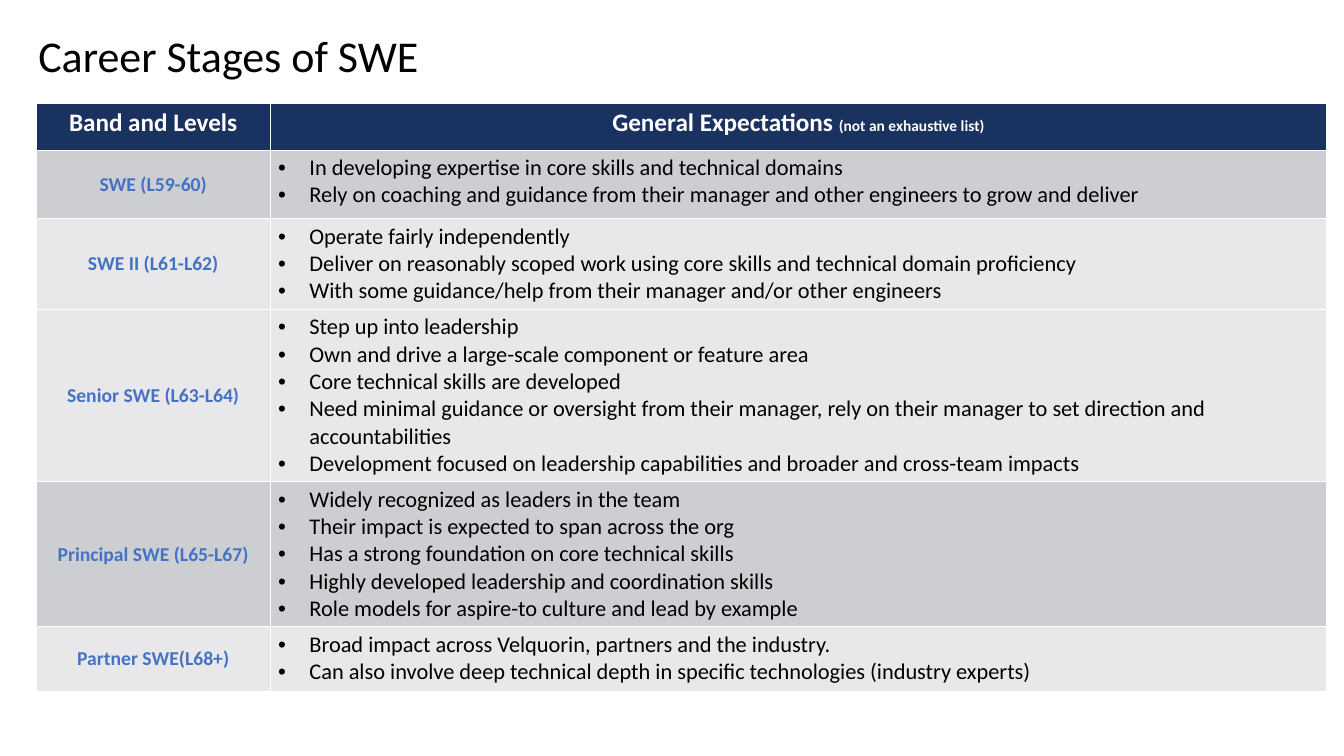
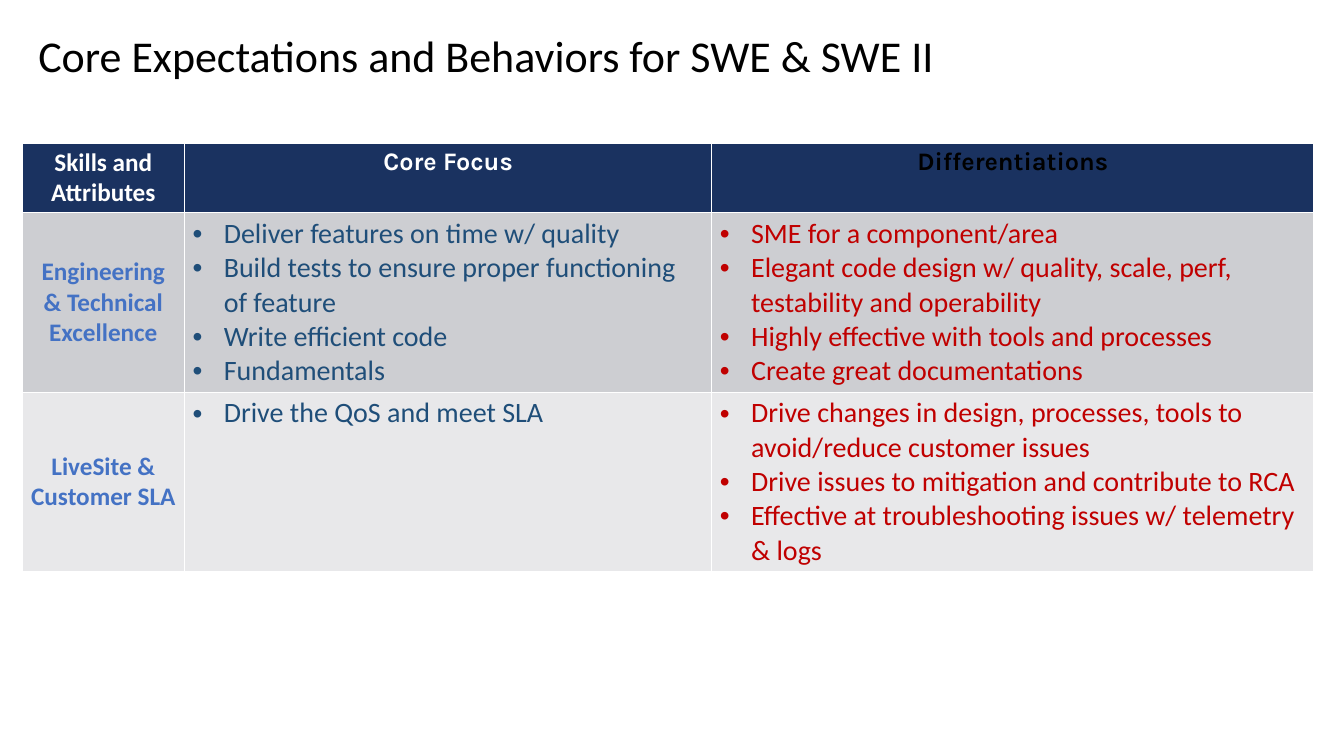
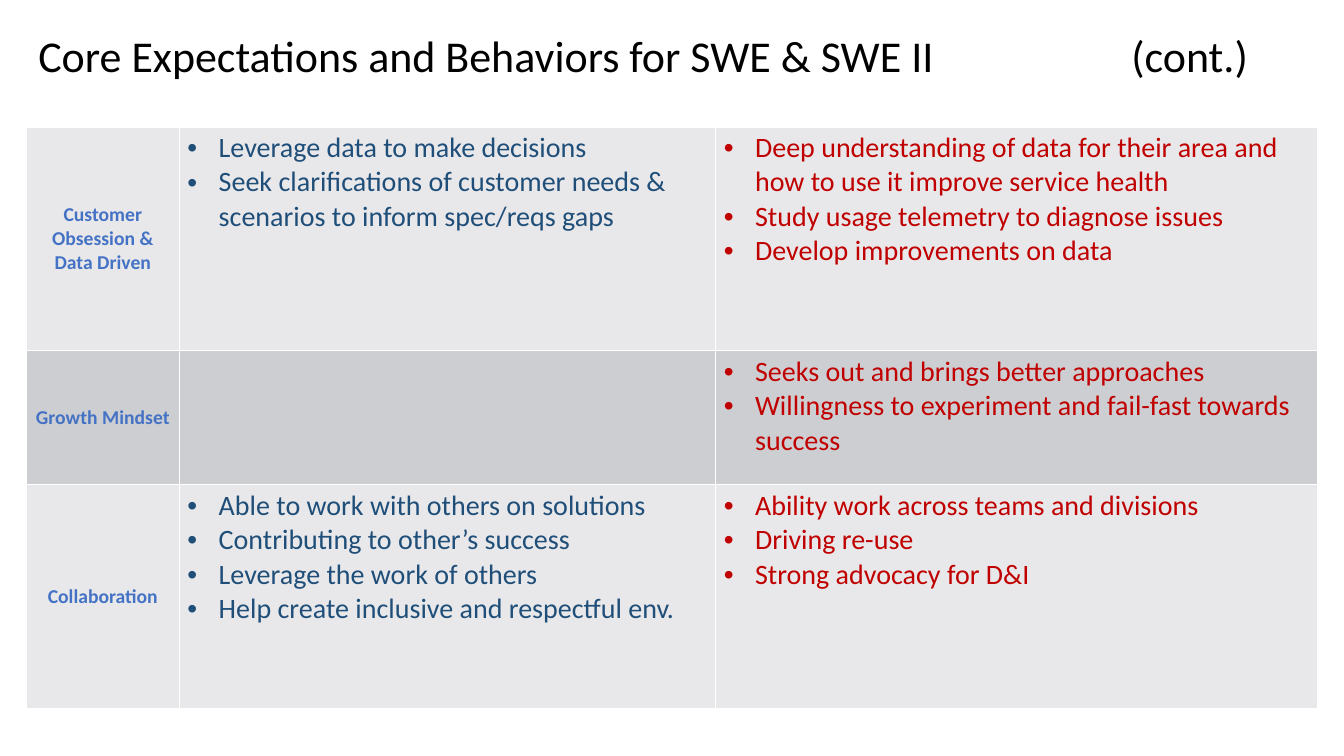
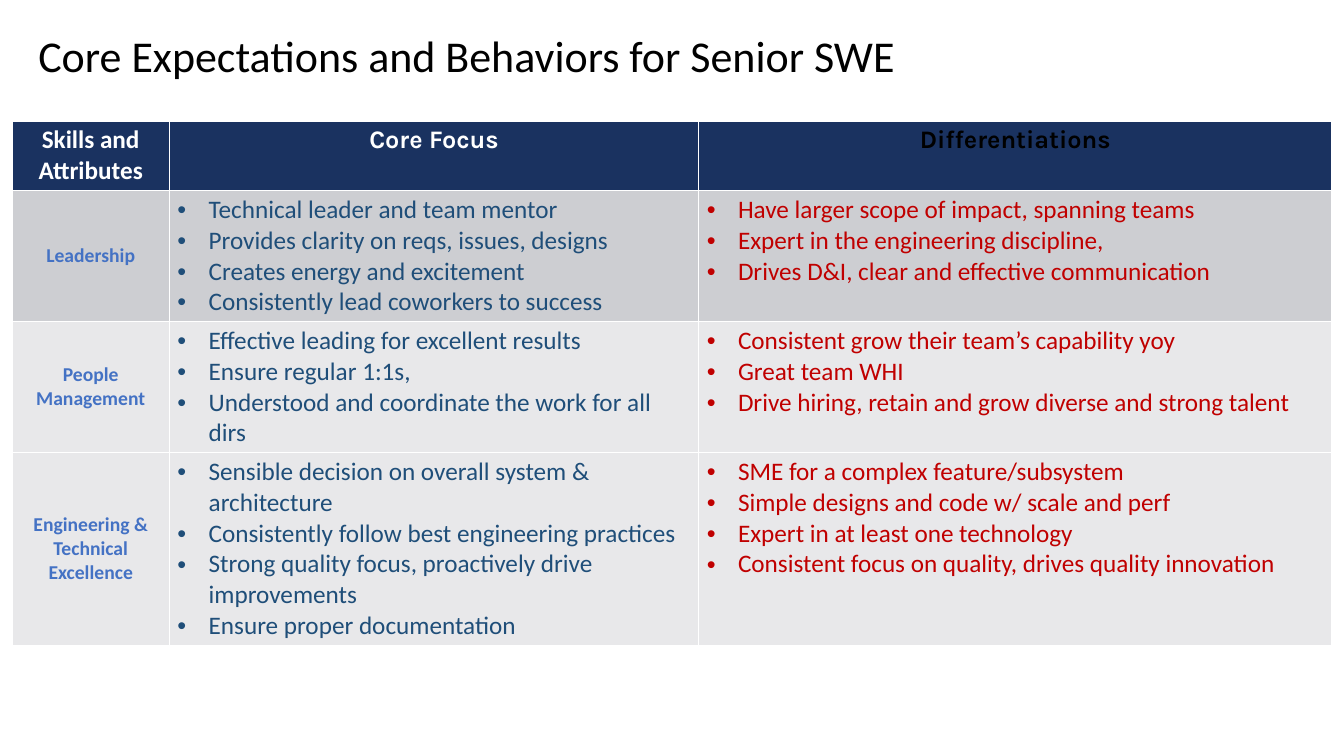
"""Builds four slides of tables on the career stages of software engineers."""
from lxml import etree
from pptx import Presentation
from pptx import util as u
from pptx.dml.color import RGBColor
from pptx.enum import text
from pptx.oxml import ns

HUES = {"navy": "1A3260", "white": "FFFFFF", "black": "000000", "label": "4472C4",
        "core": "1F4E79", "diff": "C00000", "dark": "CDCED2", "light": "E8E8EA"}
FONT, HEAD = "Calibri", "Karla"
SKILLS = [
    [("Skills and Attributes", 18, FONT, "white")],
    [("Core Focus", 18, HEAD, "white")],
    [("Differentiations", 18, HEAD, "black")],
]
SLIDES = [
    {
        "title": "Career Stages of SWE",
        "at": (0.36, 1.03), "cols": [2.32, 10.48], "inks": ["black"], "size": 16,
        "head": [
            [("Band and Levels", 18, FONT, "white")],
            [("General Expectations ", 18, FONT, "white"),
             ("(not an exhaustive list)", 11, FONT, "white")],
        ],
        "top": 0.46,
        "rows": [
            ("dark", 0.68, 14, ["SWE (L59-60)"], [
                "In developing expertise in core skills and technical domains",
                "Rely on coaching and guidance from their manager and other engineers to grow and deliver"]),
            ("light", 0.9, 14, ["SWE II (L61-L62)"], [
                "Operate fairly independently",
                "Deliver on reasonably scoped work using core skills and technical domain proficiency",
                "With some guidance/help from their manager and/or other engineers"]),
            ("light", 1.44, 14, ["Senior SWE (L63-L64)"], [
                "Step up into leadership",
                "Own and drive a large-scale component or feature area",
                "Core technical skills are developed",
                "Need minimal guidance or oversight from their manager, rely on their manager "
                "to set direction and accountabilities",
                "Development focused on leadership capabilities and broader and cross-team impacts"]),
            ("dark", 1.44, 14, ["Principal SWE (L65-L67)"], [
                "Widely recognized as leaders in the team",
                "Their impact is expected to span across the org",
                "Has a strong foundation on core technical skills",
                "Highly developed leadership and coordination skills",
                "Role models for aspire-to culture and lead by example"]),
            ("light", 0.64, 14, ["Partner SWE(L68+)"], [
                "Broad impact across Velquorin, partners and the industry.",
                "Can also involve deep technical depth in specific technologies (industry experts)"]),
        ],
    },
    {
        "title": "Core Expectations and Behaviors for SWE & SWE II",
        "at": (0.22, 1.42), "cols": [1.61, 5.23, 5.97], "inks": ["core", "diff"], "size": 20,
        "head": SKILLS, "top": 0.69,
        "rows": [
            ("dark", 1.77, 18, ["Engineering & Technical", "Excellence"], [
                "Deliver features on time w/ quality",
                "Build tests to ensure proper functioning of feature",
                "Write efficient code",
                "Fundamentals"], [
                "SME for a component/area",
                "Elegant code design w/ quality, scale, perf, testability and operability",
                "Highly effective with tools and processes",
                "Create great documentations"]),
            ("light", 1.77, 18, ["LiveSite & Customer SLA"], [
                "Drive the QoS and meet SLA"], [
                "Drive changes in design, processes, tools to avoid/reduce customer issues",
                "Drive issues to mitigation and contribute to RCA",
                "Effective at troubleshooting issues w/ telemetry & logs"]),
        ],
    },
    {
        "title": "Core Expectations and Behaviors for SWE & SWE II\t(cont.)",
        "at": (0.26, 1.26), "cols": [1.52, 5.32, 5.97], "inks": ["core", "diff"], "size": 20,
        "head": [], "top": 0,
        "rows": [
            ("light", 2.22, 14, ["Customer Obsession & Data Driven"], [
                "Leverage data to make decisions",
                "Seek clarifications of customer needs & scenarios to inform spec/reqs gaps"], [
                "Deep understanding of data for their area and how to use it improve service health",
                "Study usage telemetry to diagnose issues",
                "Develop improvements on data"]),
            ("dark", 1.33, 14, ["Growth Mindset"], [], [
                "Seeks out and brings better approaches",
                "Willingness to experiment and fail-fast towards success"]),
            ("light", 2.22, 14, ["Collaboration"], [
                "Able to work with others on solutions",
                "Contributing to other’s success",
                "Leverage the work of others",
                "Help create inclusive and respectful env."], [
                "Ability work across teams and divisions",
                "Driving re-use",
                "Strong advocacy for D&I"]),
        ],
    },
    {
        "title": "Core Expectations and Behaviors for Senior SWE",
        "at": (0.12, 1.2), "cols": [1.56, 5.25, 6.28], "inks": ["core", "diff"], "size": 18,
        "head": SKILLS, "top": 0.69,
        "rows": [
            ("dark", 1.29, 14, ["Leadership"], [
                "Technical leader and team mentor",
                "Provides clarity on reqs, issues, designs",
                "Creates energy and excitement",
                "Consistently lead coworkers to success"], [
                "Have larger scope of impact, spanning teams",
                "Expert in the engineering discipline,",
                "Drives D&I, clear and effective communication"]),
            ("light", 1.29, 14, ["People Management"], [
                "Effective leading for excellent results",
                "Ensure regular 1:1s,",
                "Understood and coordinate the work for all dirs"], [
                "Consistent grow their team’s capability yoy",
                "Great team WHI",
                "Drive hiring, retain and grow diverse and strong talent"]),
            ("light", 1.9, 14, ["Engineering & Technical", "Excellence"], [
                "Sensible decision on overall system & architecture",
                "Consistently follow best engineering practices",
                "Strong quality focus, proactively drive improvements",
                "Ensure proper documentation"], [
                "SME for a complex feature/subsystem",
                "Simple designs and code w/ scale and perf",
                "Expert in at least one technology",
                "Consistent focus on quality, drives quality innovation"]),
        ],
    },
]


def style(font, size, ink, bold=False, name=FONT):
    font.size, font.bold, font.name = u.Pt(size), bold, name
    font.color.rgb = RGBColor.from_string(HUES[ink])


def add_title(slide, words):
    box = slide.shapes.title
    box.left, box.top, box.width, box.height = map(u.Inches, (0.38, 0.28, 13.33, 0.59))
    frame = box.text_frame
    frame.margin_left, frame.auto_size = 0, text.MSO_AUTO_SIZE.NONE
    frame.vertical_anchor = text.MSO_ANCHOR.MIDDLE
    frame.text = words
    para = frame.paragraphs[0]
    para.alignment, para.line_spacing = text.PP_ALIGN.LEFT, 0.9
    if "\t" in words:
        tabs = etree.SubElement(para._p.get_or_add_pPr(), ns.qn("a:tabLst"))
        etree.SubElement(tabs, ns.qn("a:tab"), pos=str(u.Inches(10.84)), algn="l")
    style(para.font, 31.4, "black")


def add_bullet(para):
    props = para._p.get_or_add_pPr()
    props.set("marL", str(u.Inches(0.31)))
    props.set("indent", str(u.Inches(-0.31)))
    etree.SubElement(props, ns.qn("a:buFont"), typeface="Arial")
    etree.SubElement(props, ns.qn("a:buChar"), char="•")


def set_cell(cell, fill):
    cell.fill.solid()
    cell.fill.fore_color.rgb = RGBColor.from_string(HUES[fill])
    cell.margin_left = cell.margin_right = u.Inches(0.08)
    cell.margin_top = cell.margin_bottom = u.Inches(0.04)


def fill_head(cell, runs):
    set_cell(cell, "navy")
    para = cell.text_frame.paragraphs[0]
    para.alignment = text.PP_ALIGN.CENTER
    for words, size, name, ink in runs:
        run = para.add_run()
        run.text = words
        style(run.font, size, ink, True, name)


def fill_body(cell, fill, lines, size, ink, label):
    set_cell(cell, fill)
    cell.text_frame.text = "\n".join(lines)
    if label:
        cell.vertical_anchor = text.MSO_ANCHOR.MIDDLE
    for para in cell.text_frame.paragraphs:
        if label:
            para.alignment = text.PP_ALIGN.CENTER
        elif lines:
            add_bullet(para)
        style(para.font, size, ink, label)


def add_grid(slide, data):
    head, rows, cols = data["head"], data["rows"], data["cols"]
    highs = [data["top"]] * bool(head) + [row[1] for row in rows]
    left, top = data["at"]
    table = slide.shapes.add_table(
        len(highs), len(cols), u.Inches(left), u.Inches(top),
        u.Inches(sum(cols)), u.Inches(sum(highs))).table
    table.first_row, table.horz_banding = bool(head), False
    for col, wide in zip(table.columns, cols):
        col.width = u.Inches(wide)
    for row, high in zip(table.rows, highs):
        row.height = u.Inches(high)
    for c, runs in enumerate(head):
        fill_head(table.cell(0, c), runs)
    for r, (fill, _, size, *parts) in enumerate(rows, bool(head)):
        for c, lines in enumerate(parts):
            ink = data["inks"][c - 1] if c else "label"
            fill_body(table.cell(r, c), fill, lines, data["size"] if c else size, ink, c == 0)


def main():
    deck = Presentation()
    deck.slide_width, deck.slide_height = u.Inches(13.33), u.Inches(7.5)
    for data in SLIDES:
        slide = deck.slides.add_slide(deck.slide_layouts[5])
        add_title(slide, data["title"])
        add_grid(slide, data)
    deck.save("out.pptx")


if __name__ == "__main__":
    main()
